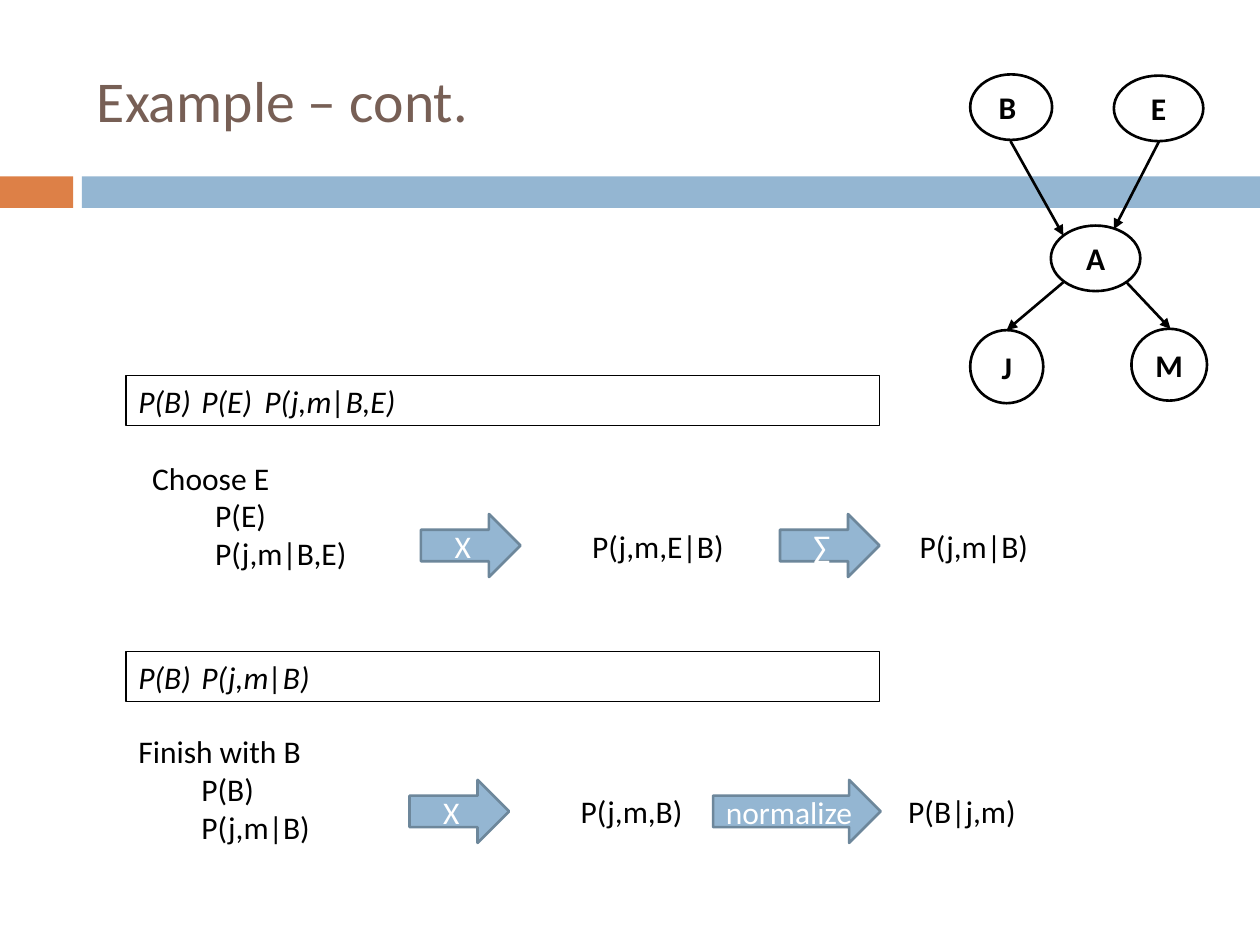
"""Build the variable elimination example slide with its Bayesian network."""
from dataclasses import dataclass
from typing import Optional

from lxml.etree import SubElement
from pptx import Presentation
from pptx.dml.color import RGBColor
from pptx.enum.shapes import MSO_CONNECTOR as CONN, MSO_SHAPE as SHAPE
from pptx.enum.text import MSO_ANCHOR as ANCHOR, PP_ALIGN as ALIGN
from pptx.oxml.ns import qn
from pptx.util import Inches, Pt

FONT = "Calibri"
BLACK, WHITE = "000000", "FFFFFF"
BLUE, BLUE_EDGE, ORANGE, BROWN = "94B6D2", "6D879B", "DD8047", "775F55"


@dataclass
class Box:
    left: float
    top: float
    width: float
    height: float


@dataclass
class Style:
    size: float = 18
    color: str = BLACK
    bold: bool = False
    italic: bool = False
    align: ALIGN = ALIGN.LEFT
    anchor: ANCHOR = ANCHOR.TOP
    side_inset: float = 0.1


@dataclass
class Node:
    label: str
    box: Box


@dataclass
class Edge:
    x1: float
    y1: float
    x2: float
    y2: float


@dataclass
class Step:
    """One elimination step: its factors, operations and results."""
    factor_top: float
    factors: str
    list_left: float
    list_top: float
    lines: list[str]
    row_left: float
    row_top: float
    product: str
    operation: str
    op_left: float
    op_width: float
    result: str
    result_left: float


def rgb(value: str) -> RGBColor:
    """Turn a hex string into a colour."""
    return RGBColor.from_string(value)


def write(sp, lines: list[str], style: Style, wrap: bool = True) -> None:
    """Write one paragraph per line into a shape."""
    tf = sp.text_frame
    tf.word_wrap = wrap
    tf.vertical_anchor = style.anchor
    tf.margin_left = tf.margin_right = Inches(style.side_inset)
    for i, line in enumerate(lines):
        p = tf.paragraphs[0] if i == 0 else tf.add_paragraph()
        p.alignment = style.align
        r = p.add_run()
        r.text = line
        r.font.name = FONT
        r.font.size = Pt(style.size)
        r.font.bold = style.bold
        r.font.italic = style.italic
        r.font.color.rgb = rgb(style.color)


def add_text(s, box: Box, lines: list[str], style: Style) -> None:
    """Add a text box."""
    sp = s.shapes.add_textbox(Inches(box.left), Inches(box.top),
                              Inches(box.width), Inches(box.height))
    write(sp, lines, style)


def add_shape(s, kind: SHAPE, box: Box, fill: Optional[str] = None,
              line: Optional[str] = None, weight: float = 1.5):
    """Add a preset shape without a shadow."""
    sp = s.shapes.add_shape(kind, Inches(box.left), Inches(box.top),
                            Inches(box.width), Inches(box.height))
    sp.shadow.inherit = False
    if fill:
        sp.fill.solid()
        sp.fill.fore_color.rgb = rgb(fill)
    else:
        sp.fill.background()
    if line:
        sp.line.color.rgb = rgb(line)
        sp.line.width = Pt(weight)
    else:
        sp.line.fill.background()
    return sp


def add_node(s, node: Node) -> None:
    """Add a network node with its bold letter."""
    sp = add_shape(s, SHAPE.OVAL, node.box, WHITE, BLACK)
    write(sp, [node.label], Style(bold=True, align=ALIGN.CENTER,
                                  anchor=ANCHOR.MIDDLE, side_inset=0))


def add_edge(s, edge: Edge) -> None:
    """Add a network edge ending in an arrowhead."""
    cn = s.shapes.add_connector(CONN.STRAIGHT, Inches(edge.x1), Inches(edge.y1),
                                Inches(edge.x2), Inches(edge.y2))
    cn.line.color.rgb = rgb(BLACK)
    cn.line.width = Pt(1.5)
    SubElement(cn.line._get_or_add_ln(), qn("a:tailEnd"), type="triangle")
    SubElement(cn._element.spPr, qn("a:effectLst"))


def add_operation(s, box: Box, label: str) -> None:
    """Add a block arrow naming an operation."""
    sp = add_shape(s, SHAPE.RIGHT_ARROW, box, BLUE, BLUE_EDGE)
    write(sp, [label], Style(color=WHITE, align=ALIGN.CENTER,
                             anchor=ANCHOR.MIDDLE, side_inset=0), wrap=False)


def add_step(s, step: Step) -> None:
    """Add the factor frame, the factor list and the row of operations."""
    frame = add_shape(s, SHAPE.RECTANGLE, Box(1, step.factor_top, 5.98, 0.4),
                      line=BLACK, weight=0.75)
    write(frame, [step.factors], Style(italic=True))
    add_text(s, Box(step.list_left, step.list_top, 2.65, 1.01), step.lines, Style())
    for label, left, width in (("X", step.row_left, 0.79),
                               (step.operation, step.op_left, step.op_width)):
        add_operation(s, Box(left, step.row_top, width, 0.5), label)
    for text, left in ((step.product, step.row_left + 1.26),
                       (step.result, step.result_left)):
        add_text(s, Box(left, step.row_top + 0.05, 2.01, 0.4), [text], Style())


NODES = [
    Node("B ", Box(7.7, 0.59, 0.65, 0.52)),
    Node("E", Box(8.84, 0.6, 0.71, 0.52)),
    Node("A", Box(8.34, 1.79, 0.71, 0.52)),
    Node("J", Box(7.7, 2.62, 0.58, 0.58)),
    Node("M", Box(8.98, 2.61, 0.6, 0.57)),
]
EDGES = [
    Edge(8.02, 1.12, 8.44, 1.87),
    Edge(9.2, 1.12, 8.84, 1.82),
    Edge(8.94, 2.24, 9.29, 2.61),
    Edge(8.44, 2.24, 7.99, 2.62),
]
STEPS = [
    Step(2.98, "P(B)\tP(E)\tP(j,m|B,E)", 1.11, 3.59,
         ["Choose E", "\tP(E)", "\tP(j,m|B,E)"],
         3.34, 4.08, "P(j,m,E|B)", "∑", 6.19, 0.79, "P(j,m|B)", 7.2),
    Step(5.17, "P(B)\tP(j,m|B)", 1, 5.76,
         ["Finish with B", "\tP(B)", "\tP(j,m|B)"],
         3.25, 6.19, "P(j,m,B)", "normalize", 5.66, 1.33, "P(B|j,m)", 7.11),
]


def main() -> None:
    """Draw the slide and save it."""
    prs = Presentation()
    prs.slide_width, prs.slide_height = Inches(10), Inches(7.5)
    s = prs.slides.add_slide(prs.slide_layouts[6])
    add_shape(s, SHAPE.RECTANGLE, Box(0, 1.4, 0.58, 0.25), ORANGE)
    add_shape(s, SHAPE.RECTANGLE, Box(0.65, 1.4, 9.35, 0.25), BLUE)
    add_text(s, Box(0.67, 0.25, 8.92, 1.08), ["Example – cont."],
             Style(size=33, color=BROWN, anchor=ANCHOR.MIDDLE))
    for step in STEPS:
        add_step(s, step)
    for node in NODES:
        add_node(s, node)
    for edge in EDGES:
        add_edge(s, edge)
    prs.save("out.pptx")


if __name__ == "__main__":
    main()
